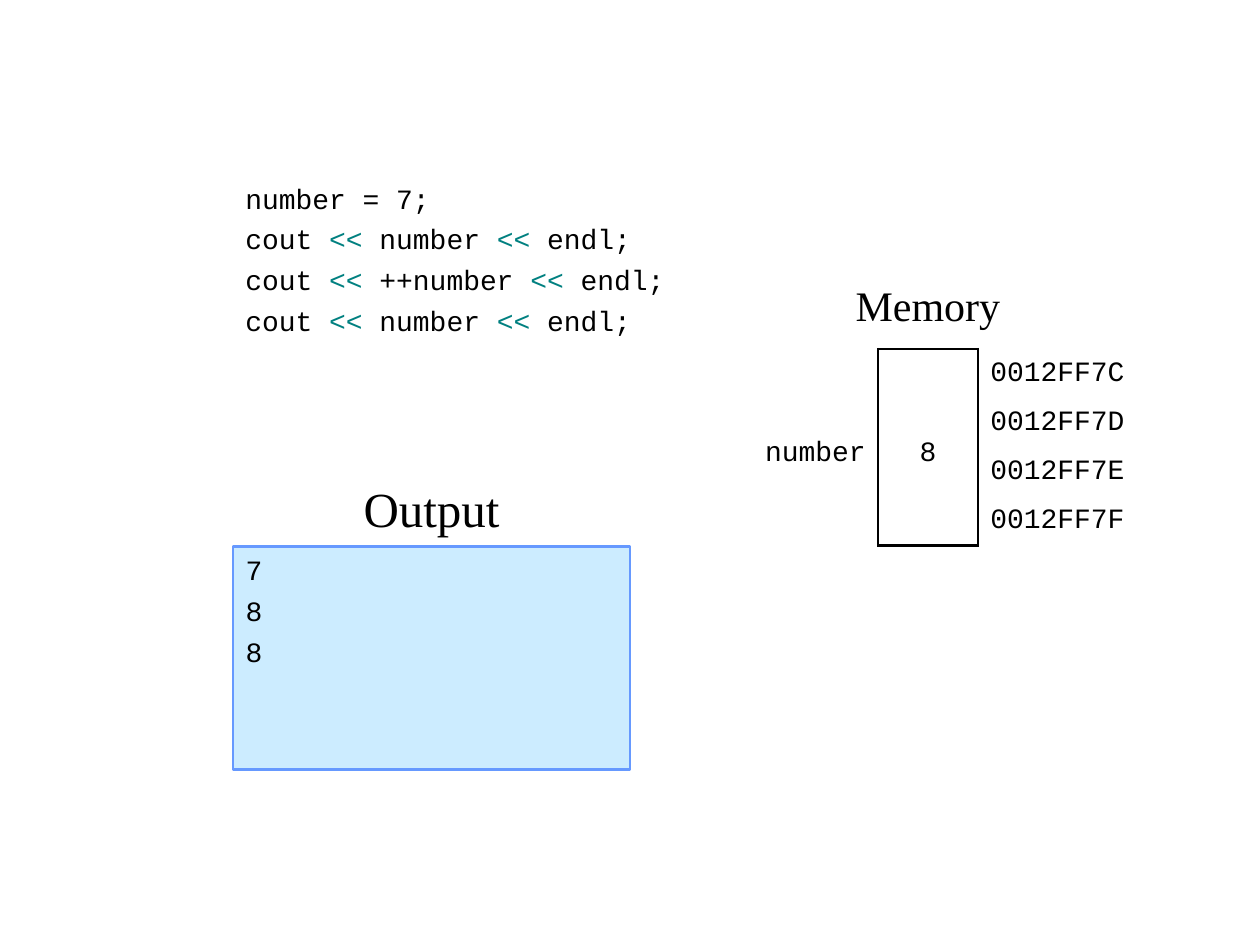
"""Build a slide tracing a pre-increment program, its memory and its output."""
from lxml import etree
from pptx import Presentation
from pptx.dml.color import RGBColor
from pptx.enum.shapes import MSO_SHAPE
from pptx.enum.text import MSO_ANCHOR, PP_ALIGN
from pptx.oxml.ns import qn
from pptx.util import Inches, Pt

LEFT, CENTER, RIGHT = PP_ALIGN.LEFT, PP_ALIGN.CENTER, PP_ALIGN.RIGHT
TOP, MIDDLE = MSO_ANCHOR.TOP, MSO_ANCHOR.MIDDLE
RECTANGLE = MSO_SHAPE.RECTANGLE
MONO, SERIF = "Courier New", "Times New Roman"
BLACK, TEAL, PALE_BLUE, BLUE = "000000", "008080", "CCECFF", "6699FF"
OPERATOR = "<<"

CODE = [
    "number = 7;",
    "cout << number << endl;",
    "cout << ++number << endl;",
    "cout << number << endl;",
]
OUTPUT = ["7", "8", "8"]
VARIABLE, VALUE = "number", "8"
ADDRESSES = ["0012FF7C", "0012FF7D", "0012FF7E", "0012FF7F"]
HEADINGS = [("Memory", 24, 6.58, 2.17), ("Output", 28, 2.64, 3.75)]
COLUMN_WIDTHS = [1.18, 0.79, 1.38]
COLUMN_BORDERS = [["R"], ["L", "R", "T", "B"], ["L"]]
ROW_HEIGHT = 0.39


def color(value):
    return RGBColor.from_string(value)


def write(frame, lines, size=16, font=MONO, align=LEFT, before=4, spacing=None):
    for index, line in enumerate(lines):
        para = frame.add_paragraph() if index else frame.paragraphs[0]
        para.alignment = align
        para.space_before = Pt(before)
        if spacing:
            para.line_spacing = spacing
        for part, piece in enumerate(line.split(OPERATOR)):
            pieces = [(OPERATOR, TEAL)] if part else []
            for text, tint in pieces + [(piece, BLACK)]:
                span = para.add_run()
                span.text = text
                span.font.size = Pt(size)
                span.font.name = font
                span.font.color.rgb = color(tint)


def add_text(page, place, lines, wrap=True, **style):
    box = page.shapes.add_textbox(*map(Inches, place))
    box.text_frame.word_wrap = wrap
    write(box.text_frame, lines, **style)


def format_cell(cell, drawn, margin):
    properties = cell._tc.get_or_add_tcPr()
    for side in "LRTB":
        border = etree.SubElement(properties, qn(f"a:ln{side}"), w=str(Pt(1.5)))
        if side in drawn:
            fill = etree.SubElement(border, qn("a:solidFill"))
            etree.SubElement(fill, qn("a:srgbClr"), val=BLACK)
        else:
            etree.SubElement(border, qn("a:noFill"))
    cell.fill.background()
    cell.vertical_anchor = MIDDLE
    cell.margin_left = cell.margin_right = Inches(margin)
    cell.margin_top = cell.margin_bottom = 0


def add_memory(page, left, top):
    rows = len(ADDRESSES)
    frame = page.shapes.add_table(
        rows, len(COLUMN_WIDTHS), Inches(left), Inches(top),
        Inches(sum(COLUMN_WIDTHS)), Inches(rows * ROW_HEIGHT))
    table = frame.table
    table.first_row = table.horz_banding = False
    for row in table.rows:
        row.height = Inches(ROW_HEIGHT)
    for index, width in enumerate(COLUMN_WIDTHS):
        table.columns[index].width = Inches(width)
        for row in range(rows):
            margin = 0 if index == 1 else 0.1
            format_cell(table.cell(row, index), COLUMN_BORDERS[index], margin)
    for index, (text, align) in enumerate([(VARIABLE, RIGHT), (VALUE, CENTER)]):
        cell = table.cell(0, index)
        cell.merge(table.cell(rows - 1, index))
        write(cell.text_frame, [text], align=align, spacing=1.4)
    for row, address in enumerate(ADDRESSES):
        write(table.cell(row, 2).text_frame, [address])


def add_output(page, place):
    screen = page.shapes.add_shape(RECTANGLE, *map(Inches, place))
    screen.shadow.inherit = False
    screen.fill.solid()
    screen.fill.fore_color.rgb = color(PALE_BLUE)
    screen.line.color.rgb = color(BLUE)
    screen.line.width = Pt(1.5)
    screen.text_frame.vertical_anchor = TOP
    write(screen.text_frame, OUTPUT)


def main():
    deck = Presentation()
    deck.slide_width, deck.slide_height = Inches(10), Inches(7.5)
    page = deck.slides.add_slide(deck.slide_layouts[6])
    add_text(page, (1.85, 1.39, 3.94, 1.38), CODE)
    add_memory(page, 5.79, 2.77)
    for text, size, left, top in HEADINGS:
        add_text(page, (left, top, 1.57, 0.59), [text], wrap=False,
                 size=size, font=SERIF, align=CENTER, before=3)
    add_output(page, (1.85, 4.34, 3.15, 1.77))
    deck.save("out.pptx")


if __name__ == "__main__":
    main()
